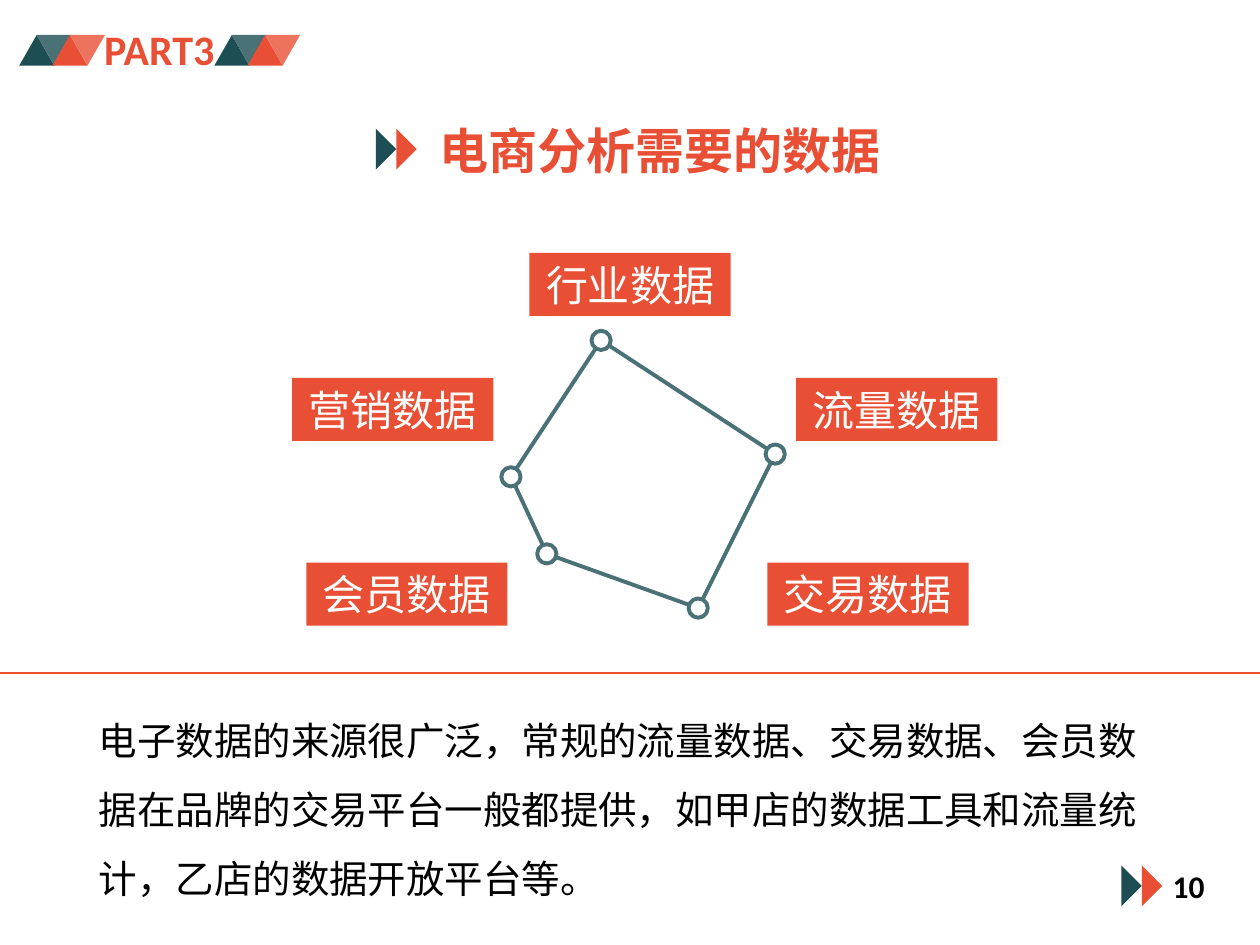
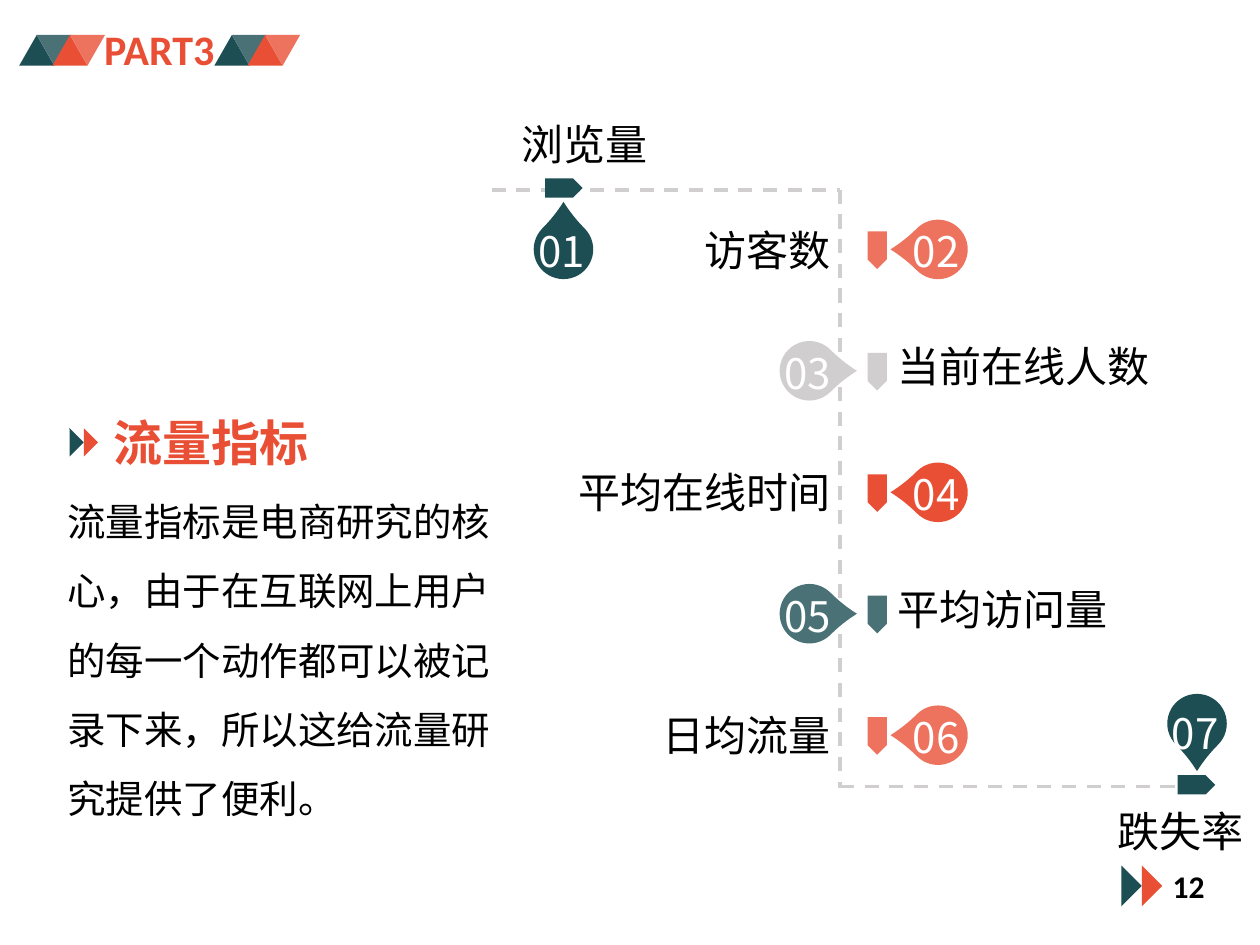
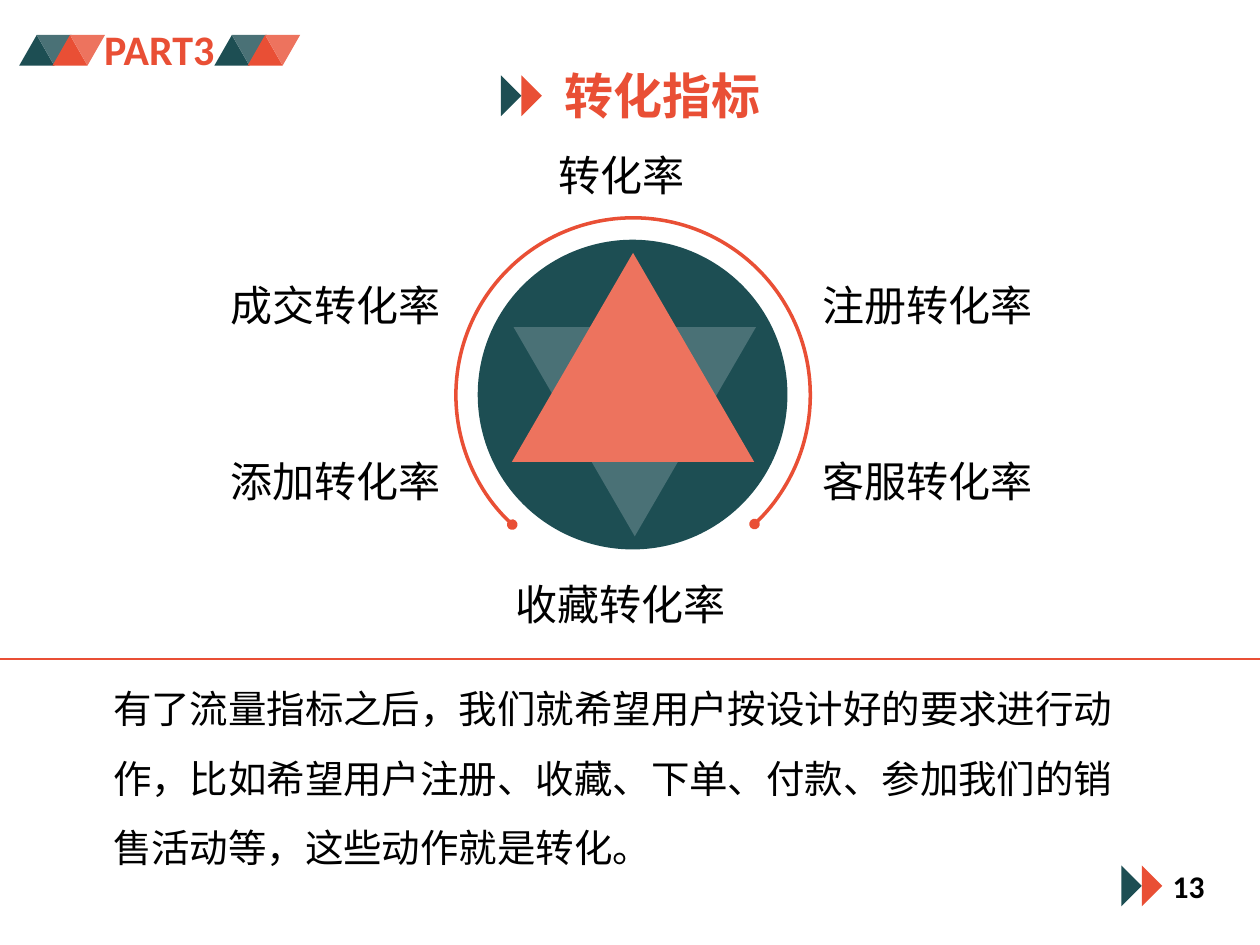
from lxml.etree import SubElement
from pptx import Presentation
from pptx.dml.color import RGBColor
from pptx.enum.dml import MSO_LINE
from pptx.enum.shapes import MSO_CONNECTOR, MSO_SHAPE
from pptx.enum.text import MSO_ANCHOR, MSO_AUTO_SIZE, PP_ALIGN
from pptx.oxml.ns import qn
from pptx.util import Pt

RED = RGBColor(0xE9, 0x4F, 0x35)
CORAL = RGBColor(0xED, 0x73, 0x5E)
TEAL = RGBColor(0x1D, 0x4E, 0x53)
SLATE = RGBColor(0x4A, 0x71, 0x76)
SILVER = RGBColor(0xD0, 0xCE, 0xCE)
WHITE = RGBColor(0xFF, 0xFF, 0xFF)
BLACK = RGBColor(0, 0, 0)

CHINESE = "Noto Sans CJK SC"
LATIN = "Calibri"
WIDTH, HEIGHT = 720, 540
LABEL_SIZE = 24
INSETS = 15  # both side margins of a text box, rounded up


class Deck:
    """Holds the shared style and the page being drawn."""

    def __init__(self):
        self.deck = Presentation()
        self.deck.slide_width, self.deck.slide_height = Pt(WIDTH), Pt(HEIGHT)
        self.page = None

    # Page frame: title, part mark and page number
    def new_page(self, number, title, left, top, chevron):
        self.page = self.deck.slides.add_slide(self.deck.slide_layouts[5])
        box = self.page.shapes.title
        box.left, box.top = Pt(left), Pt(top)
        box.width, box.height = Pt(28 * len(title) + INSETS), Pt(41)
        self.fill_text(box, title, 28, RED, bold=True, wrap=False)
        self.chevron(*chevron)

        for band_left in (11, 122.5):
            colours = (TEAL, SLATE, RED, CORAL)
            for index, (offset, colour) in enumerate(zip((0, 10, 19, 29), colours)):
                self.shape(MSO_SHAPE.ISOSCELES_TRIANGLE, band_left + offset, 20, 20, 17.5,
                           colour, flip="flipV" if index % 2 else None)
        self.text("PART3", 52.5, 10, 78, 36, 24, RED, LATIN, bold=True, wrap=False)
        self.chevron(632.5, 498, 16.5)
        self.text(str(number), 663, 492, 33, 29, 18, BLACK, LATIN, bold=True, wrap=False)

    def chevron(self, left, top, size):
        for offset, colour in ((0.71 * size, RED), (0, TEAL)):
            self.shape(MSO_SHAPE.RIGHT_TRIANGLE, left + offset, top, size, size,
                       colour, rotation=315, flip="flipH")

    # Text
    def fill_text(self, box, words, size, colour, font=CHINESE, bold=False, wrap=True,
                  spacing=None, align=PP_ALIGN.LEFT):
        frame = box.text_frame
        frame.word_wrap = wrap
        frame.auto_size = MSO_AUTO_SIZE.SHAPE_TO_FIT_TEXT
        frame.vertical_anchor = MSO_ANCHOR.TOP
        para = frame.paragraphs[0]
        para.alignment = align
        if spacing:
            para.line_spacing = spacing
        span = para.add_run()
        span.text = words
        span.font.size = Pt(size)
        span.font.bold = bold
        span.font.color.rgb = colour
        span.font.name = font
        SubElement(span.font._element, qn("a:ea")).set("typeface", CHINESE)

    def text(self, words, left, top, width, height, size, colour, font=CHINESE, **style):
        box = self.page.shapes.add_textbox(Pt(left), Pt(top), Pt(width), Pt(height))
        self.fill_text(box, words, size, colour, font, **style)

    def label(self, words, left, top, colour=BLACK, width=None):
        width = width or label_width(words)
        self.text(words, left, top, width, 36, LABEL_SIZE, colour, wrap=False)

    def body(self, words, left, top, width, height, font=CHINESE):
        self.text(words, left, top, width, height, 22, BLACK, font, spacing=1.5)

    # Shapes and lines
    def shape(self, kind, left, top, width, height, fill=None, line=None, weight=2.25,
              rotation=0, flip=None):
        shape = self.page.shapes.add_shape(kind, Pt(left), Pt(top), Pt(width), Pt(height))
        self.paint(shape, fill, line, weight)
        shape.rotation = rotation
        if flip:
            shape._element.spPr.find(qn("a:xfrm")).set(flip, "1")
        return shape

    def paint(self, shape, fill, line, weight):
        shape.shadow.inherit = False
        if fill is None:
            shape.fill.background()
        else:
            shape.fill.solid()
            shape.fill.fore_color.rgb = fill
        if line is None:
            shape.line.fill.background()
        else:
            shape.line.color.rgb = line
            shape.line.width = Pt(weight)

    def polygon(self, points, line, weight):
        corners = [(Pt(x), Pt(y)) for x, y in points]
        builder = self.page.shapes.build_freeform(*corners[0])
        builder.add_line_segments(corners[1:], close=True)
        self.paint(builder.convert_to_shape(), None, line, weight)

    def line(self, start, end, colour, weight, dash=None):
        line = self.page.shapes.add_connector(
            MSO_CONNECTOR.STRAIGHT, *(Pt(value) for value in (*start, *end)))
        line.line.color.rgb = colour
        line.line.width = Pt(weight)
        if dash:
            line.line.dash_style = dash
        SubElement(line._element.spPr, qn("a:effectLst"))

    def tag(self, words, left, top):
        tag = self.shape(MSO_SHAPE.RECTANGLE, left, top, 115, 36, RED)
        self.fill_text(tag, words, LABEL_SIZE, WHITE, wrap=False, align=PP_ALIGN.CENTER)
        frame = tag.text_frame
        frame.auto_size = MSO_AUTO_SIZE.NONE
        frame.vertical_anchor = MSO_ANCHOR.MIDDLE
        frame.margin_top = frame.margin_bottom = 0

    def pin(self, number, colour, left, top, rotation, tab_left, tab_top, tab_rotation,
            number_drop=0):
        drop = self.shape(MSO_SHAPE.TEAR, left, top, 34, 34, colour, rotation=rotation)
        drop.adjustments[0] = 1.13
        self.shape(MSO_SHAPE.PENTAGON, tab_left, tab_top, 21.5, 11, colour,
                   rotation=tab_rotation)
        self.label(f"{number:02}", left - 4.5, top + number_drop, WHITE, 43)


def label_width(words):
    return LABEL_SIZE * len(words) + INSETS


def data_page(deck):
    deck.new_page(10, "电商分析需要的数据", 244, 65, (206.5, 77, 16.5))

    # Pentagon with a ring on each corner
    corners = [(292, 272.5), (343.5, 194.5), (443, 259.5), (399, 347.5), (312.5, 316.5)]
    deck.polygon(corners, SLATE, 2.25)
    for x, y in corners:
        deck.shape(MSO_SHAPE.OVAL, x - 5.5, y - 5.5, 11, 11, WHITE, SLATE)

    for words, left, top in (("行业数据", 302.5, 144.5), ("营销数据", 167, 216),
                             ("流量数据", 455, 216), ("会员数据", 175, 321.5),
                             ("交易数据", 438.5, 321.5)):
        deck.tag(words, left, top)

    deck.line((0, 384.5), (WIDTH, 384.5), RED, 0.75)
    deck.body("电子数据的来源很广泛，常规的流量数据、交易数据、会员数据在品牌的交易平台一般都提供，"
              "如甲店的数据工具和流量统计，乙店的数据开放平台等。", 49.5, 393, 621, 122)


def traffic_page(deck):
    deck.new_page(12, "流量指标", 57.5, 232, (34, 247, 11.5))
    deck.body("流量指标是电商研究的核心，由于在互联网上用户的每一个动作都可以被记录下来，"
              "所以这给流量研究提供了便利。", 31.5, 268, 275, 207)

    # Dashed route
    for start, end in (((281, 108.5), (480, 108.5)), ((480, 108.5), (480, 450.5)),
                       ((480, 449.5), (680, 449.5))):
        deck.line(start, end, SILVER, 2, MSO_LINE.DASH)

    # Pins at both ends of the route
    deck.pin(1, TEAL, 305, 125.5, 315, 311.5, 102, 0)
    deck.label("浏览量", 291, 64)
    deck.pin(7, TEAL, 667, 396.5, 135, 673, 443, 0, number_drop=4)
    deck.label("跌失率", 631.5, 456.5)

    # Pins down the route, pointing left and right in turn
    stops = (("访客数", CORAL), ("当前在线人数", SILVER), ("平均在线时间", RED),
             ("平均访问量", SLATE), ("日均流量", CORAL))
    for index, (words, colour) in enumerate(stops):
        top = 125.5 + 69.4 * index
        pin_left, rotation = (445.5, 45) if index % 2 else (519, 225)
        deck.pin(index + 2, colour, pin_left, top, rotation, 490.5, top + 12, 90)
        if index % 2:
            deck.label(words, 505.5, top - 4)
        else:
            deck.label(words, 482.5 - label_width(words), top - 1)


def conversion_page(deck):
    deck.new_page(13, "转化指标", 315.5, 34, (278, 46.5, 16.5))

    # Star in a disc, with an open ring around it
    deck.shape(MSO_SHAPE.OVAL, 273, 137, 177, 177, TEAL)
    ring = deck.shape(MSO_SHAPE.ARC, 260.5, 124.5, 202.5, 202.5, line=RED, weight=2,
                      rotation=61.8)
    ring.adjustments[0], ring.adjustments[1] = 42.72, 206.96
    outline = ring._element.spPr.find(qn("a:ln"))
    for end in ("a:headEnd", "a:tailEnd"):
        SubElement(outline, qn(end)).set("type", "oval")
    deck.shape(MSO_SHAPE.ISOSCELES_TRIANGLE, 293.5, 187, 138.5, 119.5, SLATE, flip="flipV")
    deck.shape(MSO_SHAPE.ISOSCELES_TRIANGLE, 292.5, 144.5, 138.5, 119.5, CORAL)

    for words, left, top in (("转化率", 312, 82), ("收藏转化率", 287.5, 327),
                             ("成交转化率", 124.5, 156), ("注册转化率", 463, 156),
                             ("添加转化率", 124.5, 256.5), ("客服转化率", 463, 256.5)):
        deck.label(words, left, top)

    deck.line((0, 376.5), (WIDTH, 376.5), RED, 0.75)
    deck.body("有了流量指标之后，我们就希望用户按设计好的要求进行动作，比如希望用户注册、收藏、"
              "下单、付款、参加我们的销售活动等，这些动作就是转化。", 57.5, 375, 605.5, 127.5, LATIN)


def main():
    deck = Deck()
    data_page(deck)
    traffic_page(deck)
    conversion_page(deck)
    deck.deck.save("out.pptx")


if __name__ == "__main__":
    main()
